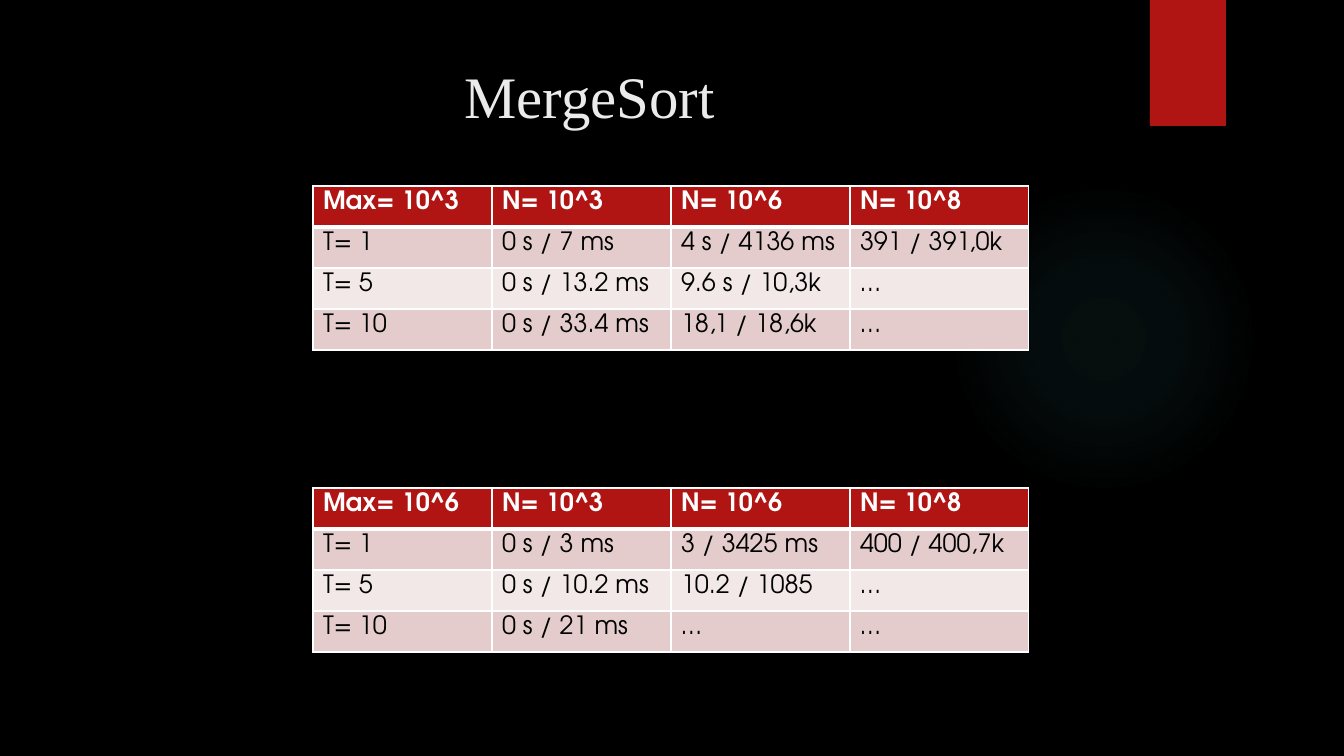
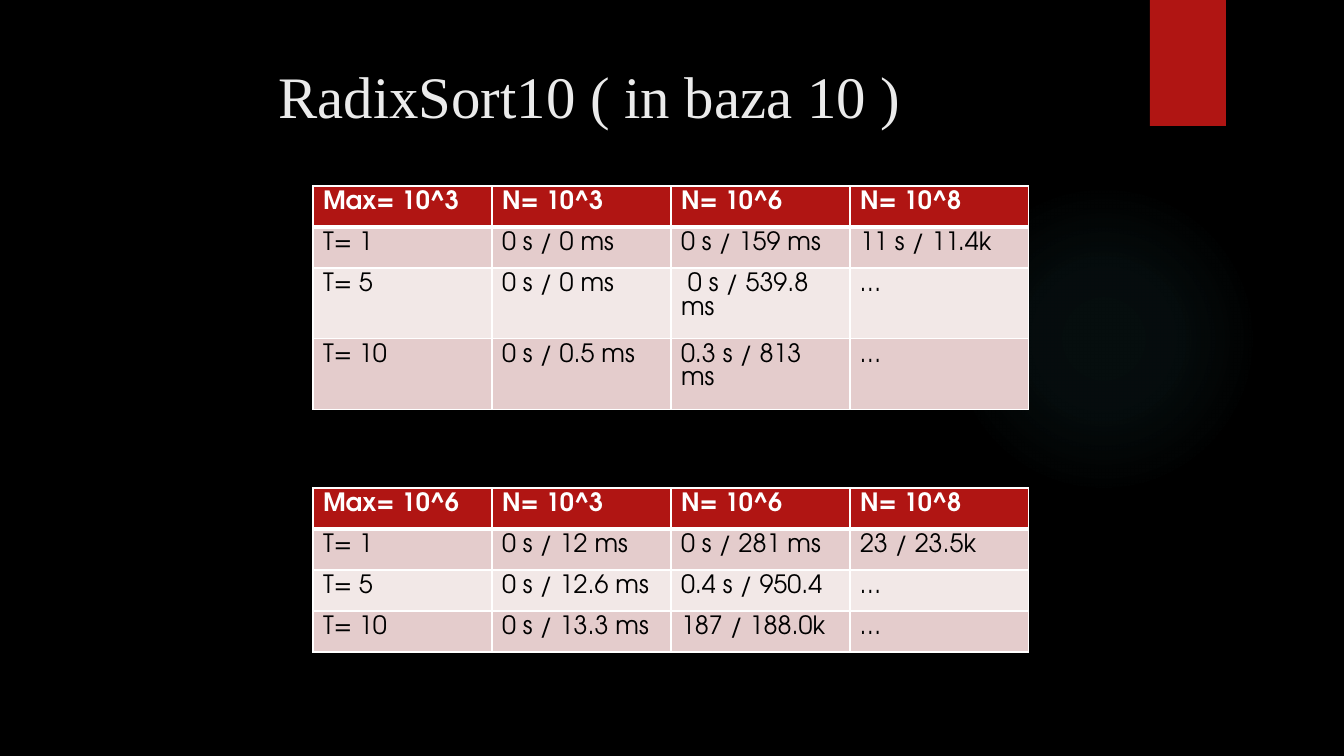
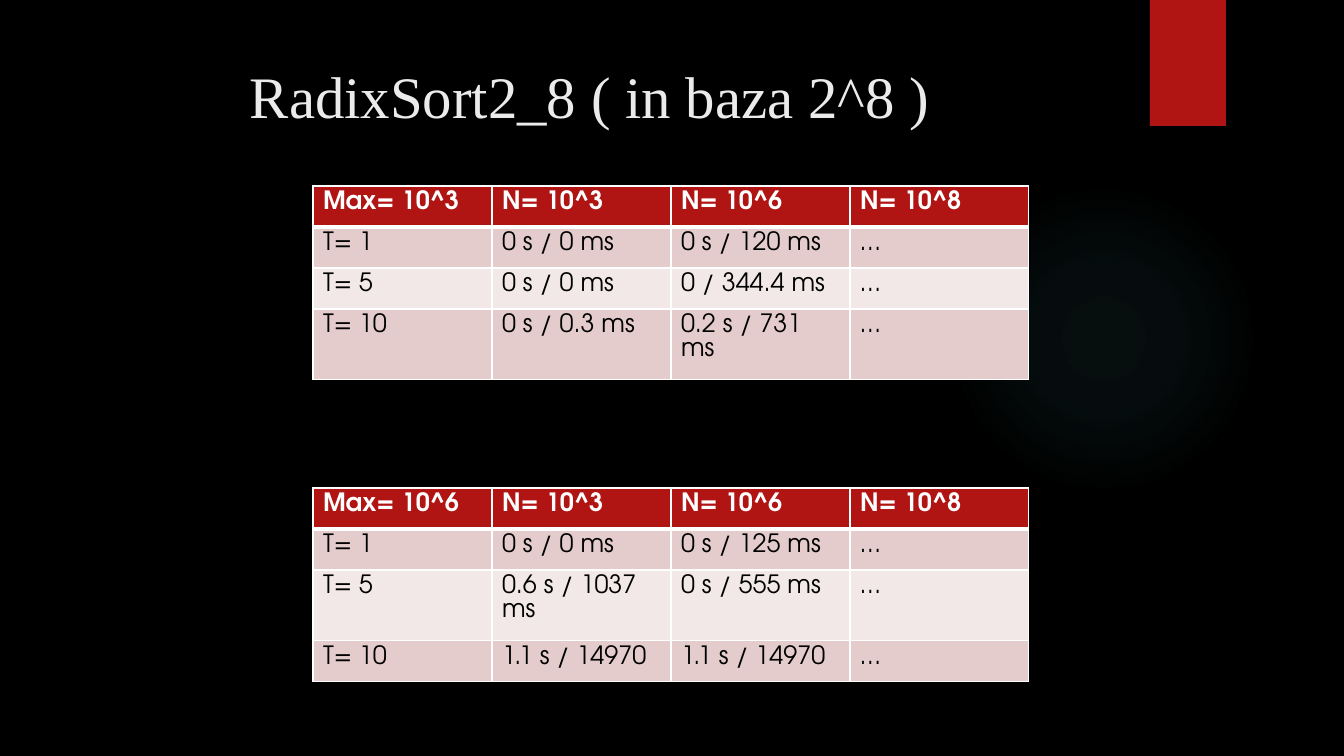
import lxml.etree
import pptx
import pptx.dml.color
import pptx.enum.shapes
import pptx.enum.text
import pptx.oxml
import pptx.util
from dataclasses import dataclass


@dataclass(frozen=True)
class Theme:
    background: str = "000000"
    accent: str = "B01513"
    glow: str = "50B9C1"
    title: str = "EBEBEB"
    header_text: str = "FFFFFF"
    body_text: str = "000000"
    border: str = "FFFFFF"
    bands: tuple = ("E4CCCC", "F2E8E7")
    title_font: str = "Times New Roman"
    table_font: str = "TeX Gyre Adventor"
    title_size: int = 42
    table_size: int = 18


theme = Theme()
EMU_PER_PX = 914400 / 100.8
NAMESPACE = 'xmlns:a="http://schemas.openxmlformats.org/drawingml/2006/main"'


def px(*lengths):
    return [pptx.util.Emu(round(length * EMU_PER_PX)) for length in lengths]


def format_run(run, font, size, color, bold=False):
    run.font.name = font
    run.font.size = pptx.util.Pt(size)
    run.font.bold = bold
    run.font.color.rgb = pptx.dml.color.RGBColor.from_string(color)


# Content: title, then the timing rows for each maximum value
table_tops = {"Max= 10^3": 186, "Max= 10^6": 488}
column_heads = ["N= 10^3", "N= 10^6", "N= 10^8"]
row_heads = ["T= 1", "T= 5", "T= 10"]
results = [
    ("MergeSort", [
        [["0 s / 7 ms", "4 s / 4136 ms", "391 / 391,0k"],
         ["0 s / 13.2 ms", "9.6 s / 10,3k", "…"],
         ["0 s / 33.4 ms", "18,1 / 18,6k", "…"]],
        [["0 s / 3 ms", "3 / 3425 ms", "400 / 400,7k"],
         ["0 s / 10.2 ms", "10.2 / 1085", "…"],
         ["0 s / 21 ms", "…", "…"]],
    ]),
    ("RadixSort10 ( in baza 10 )", [
        [["0 s / 0 ms", "0 s / 159 ms", "11 s / 11.4k"],
         ["0 s / 0 ms", " 0 s / 539.8 ms", "…"],
         ["0 s / 0.5 ms", "0.3 s / 813 ms", "…"]],
        [["0 s / 12 ms", "0 s / 281 ms", "23 / 23.5k"],
         ["0 s / 12.6 ms", "0.4 s / 950.4", "…"],
         ["0 s / 13.3 ms", "187 / 188.0k", "…"]],
    ]),
    ("RadixSort2_8 ( in baza 2^8 )", [
        [["0 s / 0 ms", "0 s / 120 ms", "…"],
         ["0 s / 0 ms", "0 / 344.4 ms", "…"],
         ["0 s / 0.3 ms", "0.2 s / 731 ms", "…"]],
        [["0 s / 0 ms", "0 s / 125 ms", "…"],
         ["0.6 s / 1037 ms", "0 s / 555 ms", "…"],
         ["1.1 s / 14970", "1.1 s / 14970", "…"]],
    ]),
]

# Soft radial glow: position and opacity in percent
glow_stops = "".join(
    f'<a:gs pos="{position * 1000}"><a:srgbClr val="{theme.glow}">'
    f'<a:alpha val="{opacity * 1000}"/></a:srgbClr></a:gs>'
    for position, opacity in [(0, 7), (36, 6), (69, 0)]
)
glow_fill = (
    f'<a:gradFill {NAMESPACE}><a:gsLst>{glow_stops}</a:gsLst><a:path path="circle">'
    '<a:fillToRect l="50000" t="50000" r="50000" b="50000"/></a:path></a:gradFill>'
)

# Presentation and shared background
presentation = pptx.Presentation()
presentation.slide_width, presentation.slide_height = px(1344, 756)
background = presentation.slide_master.background.fill
background.solid()
background.fore_color.rgb = pptx.dml.color.RGBColor.from_string(theme.background)

for title, tables in results:
    slide = presentation.slides.add_slide(presentation.slide_layouts[6])

    # Glow
    glow = slide.shapes.add_shape(
        pptx.enum.shapes.MSO_SHAPE.OVAL, *px(949, 184, 310, 310))
    glow.shadow.inherit = False
    glow.line.fill.background()
    glow.fill.background()
    properties = glow.element.spPr
    no_fill = properties.find(pptx.oxml.ns.qn("a:noFill"))
    properties.replace(no_fill, lxml.etree.fromstring(glow_fill))

    # Corner ribbon
    ribbon = slide.shapes.add_shape(
        pptx.enum.shapes.MSO_SHAPE.RECTANGLE, *px(1150, 0, 76, 126))
    ribbon.shadow.inherit = False
    ribbon.line.fill.background()
    ribbon.fill.solid()
    ribbon.fill.fore_color.rgb = pptx.dml.color.RGBColor.from_string(theme.accent)

    # Title
    title_box = slide.shapes.add_textbox(*px(71, 50, 1037, 154))
    text_frame = title_box.text_frame
    text_frame.word_wrap = True
    text_frame.margin_top, = px(10)
    text_frame.text = title
    paragraph = text_frame.paragraphs[0]
    paragraph.alignment = pptx.enum.text.PP_ALIGN.CENTER
    format_run(paragraph.runs[0], theme.title_font, theme.title_size, theme.title)

    # Timing tables
    for (maximum, top), timings in zip(table_tops.items(), tables):
        rows = [[maximum, *column_heads]]
        rows += [[head, *values] for head, values in zip(row_heads, timings)]
        table = slide.shapes.add_table(
            len(rows), len(rows[0]), *px(313, top, 717, 164)).table
        for column in table.columns:
            column.width, = px(179)
        for row_index, values in enumerate(rows):
            is_header = row_index == 0
            table.rows[row_index].height, = px(41)
            fill_color = theme.accent if is_header else theme.bands[(row_index - 1) % 2]
            text_color = theme.header_text if is_header else theme.body_text
            for column_index, value in enumerate(values):
                cell = table.cell(row_index, column_index)
                cell.text_frame.text = value
                format_run(cell.text_frame.paragraphs[0].runs[0], theme.table_font,
                           theme.table_size, text_color, is_header)

                # Borders, with a heavier rule below the header
                cell_properties = cell._tc.get_or_add_tcPr()
                for side in "LRTB":
                    heavy = (is_header and side == "B") or (row_index == 1 and side == "T")
                    width = pptx.util.Pt(3 if heavy else 1)
                    cell_properties.append(lxml.etree.fromstring(
                        f'<a:ln{side} {NAMESPACE} w="{width}"><a:solidFill>'
                        f'<a:srgbClr val="{theme.border}"/></a:solidFill></a:ln{side}>'))
                cell.fill.solid()
                cell.fill.fore_color.rgb = pptx.dml.color.RGBColor.from_string(fill_color)

presentation.save("out.pptx")
